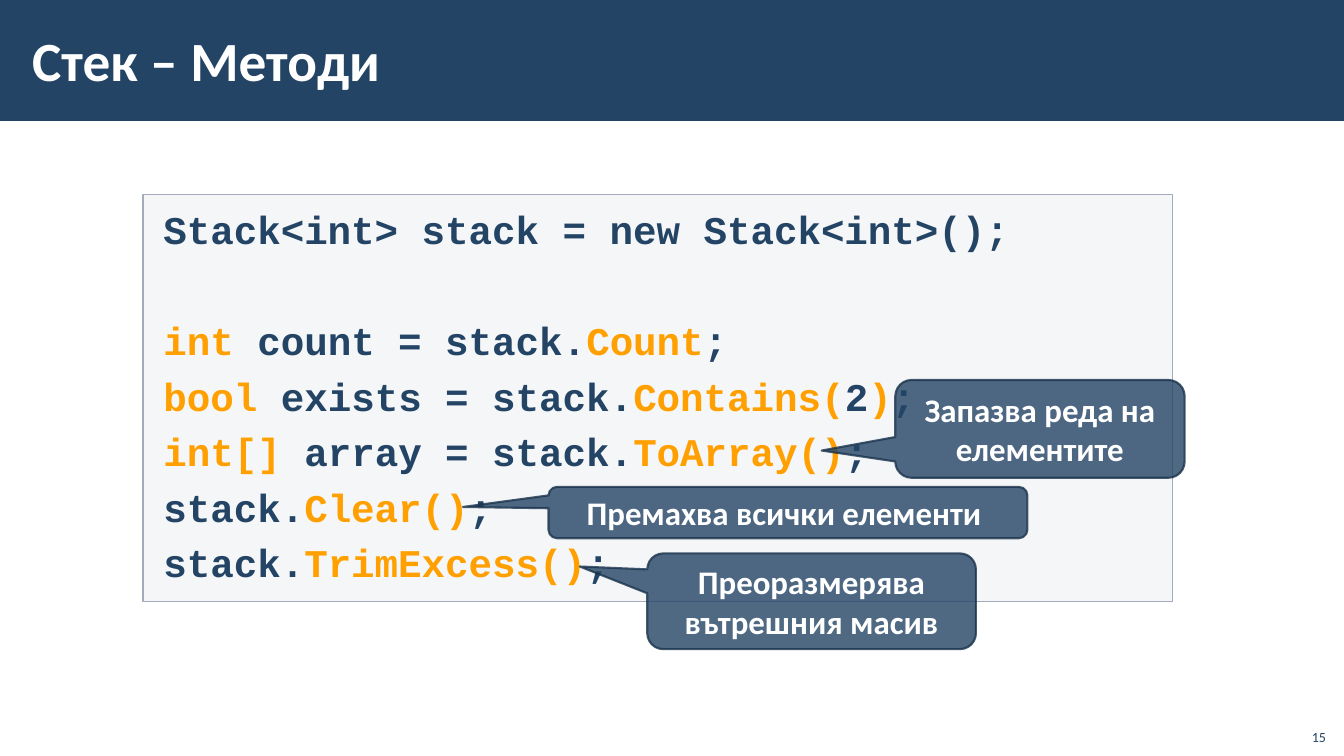
from lxml import etree
from pptx import Presentation
from pptx import util as u
from pptx.dml.color import RGBColor
from pptx.enum import shapes, text
from pptx.oxml import ns

PX = 9144  # EMU; 100 px to the inch
SLIDE_W, SLIDE_H = 1333, 750

NAVY = RGBColor(0x23, 0x44, 0x65)
DARK_NAVY = RGBColor(0x1A, 0x33, 0x4C)
ORANGE = RGBColor(0xFF, 0xA0, 0x00)
WHITE = RGBColor(0xFF, 0xFF, 0xFF)
PANEL = RGBColor(0xC2, 0xC7, 0xD2)
PANEL_EDGE = RGBColor(0xA3, 0xAB, 0xBC)

CODE_SIZE, CODE_GAP = 28, 3
CODE_LINE = 39.6  # pt from one code line to the next

# Segments between bars are highlighted; an empty string is a skipped line.
CODE = [
    "Stack<int> stack = new Stack<int>();",
    "",
    "|int| count = stack.|Count|;",
    "|bool| exists = stack.|Contains(|2|)|;",
    "|int[]| array = stack.|ToArray()|;",
    "stack.|Clear()|;",
    "stack.|TrimExcess()|;",
]

# Wording, box, tip of the pointer
CALLOUTS = [
    ("Запазва реда на елементите", (888, 377, 287, 97), (815, 447)),
    ("Премахва всички елементи ", (544, 483, 475, 51), (459, 503)),
    ("Преоразмерява вътрешния масив", (642, 549, 326, 95), (575, 562)),
]


def emu(box):
    return [n * PX for n in box]


def set_alpha(fill_owner, percent):
    """Make every solid colour directly below the given element translucent."""
    for colour in fill_owner.findall(ns.qn("a:solidFill") + "/" + ns.qn("a:srgbClr")):
        etree.SubElement(colour, ns.qn("a:alpha")).set("val", str(percent * 1000))


def add_panel(slide, kind, box, fill, alpha=100, edge=None, edge_width=1, edge_alpha=100):
    panel = slide.shapes.add_shape(kind, *emu(box))
    panel.shadow.inherit = False
    panel.fill.solid()
    panel.fill.fore_color.rgb = fill
    if edge is None:
        panel.line.fill.background()
    else:
        panel.line.color.rgb = edge
        panel.line.width = u.Pt(edge_width)
    properties = panel.fill._xPr
    if alpha < 100:
        set_alpha(properties, alpha)
    if edge_alpha < 100:
        set_alpha(properties.find(ns.qn("a:ln")), edge_alpha)
    return panel


def set_frame(frame, anchor, insets):
    frame.word_wrap = True
    frame.vertical_anchor = anchor
    (frame.margin_left, frame.margin_top,
     frame.margin_right, frame.margin_bottom) = emu(insets)


def write(paragraph, words, size, color, font="Calibri", bold=True,
          align=text.PP_ALIGN.LEFT):
    paragraph.alignment = align
    run = paragraph.add_run()
    run.text = words
    run.font.name = font
    run.font.size = u.Pt(size)
    run.font.bold = bold
    run.font.color.rgb = color


def add_title_band(slide, box, title):
    left, top, width, height = box
    add_panel(slide, shapes.MSO_SHAPE.RECTANGLE, box, NAVY)
    heading = slide.shapes.add_textbox(*emu((left + 20, top + 10, 1063, height - 23)))
    set_frame(heading.text_frame, text.MSO_ANCHOR.MIDDLE, (12, 4, 12, 4))
    write(heading.text_frame.paragraphs[0], title, 39.5, WHITE)


def add_code(slide, box, lines):
    panel = add_panel(slide, shapes.MSO_SHAPE.RECTANGLE, box, PANEL, alpha=15,
                      edge=PANEL_EDGE)
    frame = panel.text_frame
    set_frame(frame, text.MSO_ANCHOR.TOP, (20, 11, 20, 12))
    skipped = 0
    for index, line in enumerate(lines):
        if not line:
            skipped += 1
            continue
        paragraph = frame.add_paragraph() if index else frame.paragraphs[0]
        paragraph.space_before = u.Pt(CODE_GAP + skipped * CODE_LINE if index else 0)
        paragraph.space_after = u.Pt(CODE_GAP)
        skipped = 0
        for part, words in enumerate(line.split("|")):
            if words:
                write(paragraph, words, CODE_SIZE, ORANGE if part % 2 else NAVY,
                      font="Courier New")


def add_callout(slide, box, words, tip):
    left, top, width, height = box
    callout = add_panel(slide, shapes.MSO_SHAPE.ROUNDED_RECTANGULAR_CALLOUT, box, NAVY,
                        alpha=80, edge=DARK_NAVY, edge_width=1.5, edge_alpha=80)
    callout.adjustments[0] = (tip[0] - left) / width - 0.5
    callout.adjustments[1] = (tip[1] - top) / height - 0.5
    set_frame(callout.text_frame, text.MSO_ANCHOR.MIDDLE, (10, 5, 10, 5))
    write(callout.text_frame.paragraphs[0], words, 23.5, WHITE,
          align=text.PP_ALIGN.CENTER)


def add_page_number(slide, box, number):
    label = slide.shapes.add_textbox(*emu(box))
    set_frame(label.text_frame, text.MSO_ANCHOR.BOTTOM, (10, 5, 10, 5))
    write(label.text_frame.paragraphs[0], number, 10, NAVY, bold=False,
          align=text.PP_ALIGN.RIGHT)


def main():
    deck = Presentation()
    deck.slide_width, deck.slide_height = emu((SLIDE_W, SLIDE_H))
    slide = deck.slides.add_slide(deck.slide_layouts[6])
    add_title_band(slide, (0, 0, SLIDE_W, 120), "Стек – Методи")
    add_code(slide, (142, 193, 1021, 404), CODE)
    for words, box, tip in CALLOUTS:
        add_callout(slide, box, words, tip)
    add_page_number(slide, (1285, 712, 40, 32), "15")
    deck.save("out.pptx")


if __name__ == "__main__":
    main()
